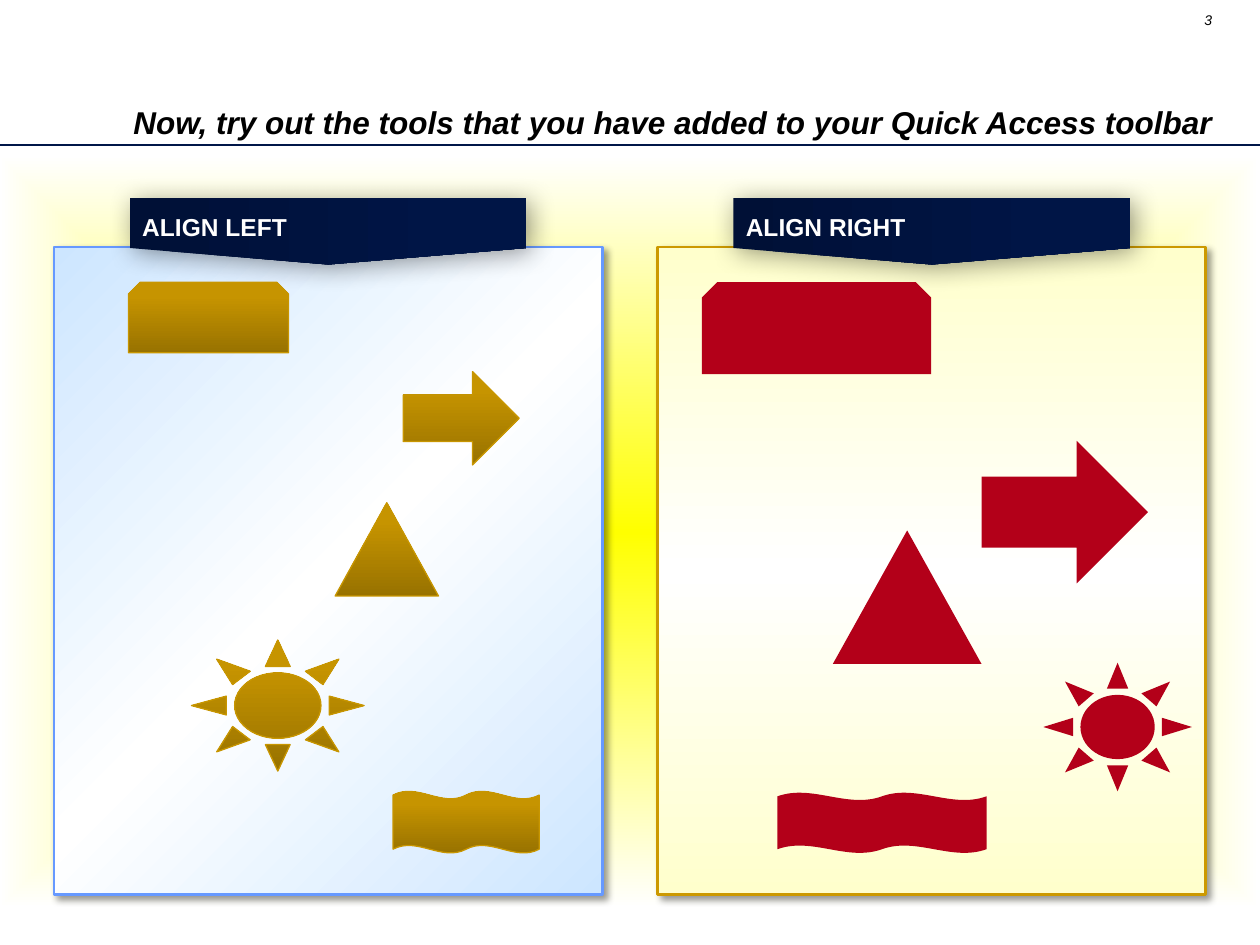
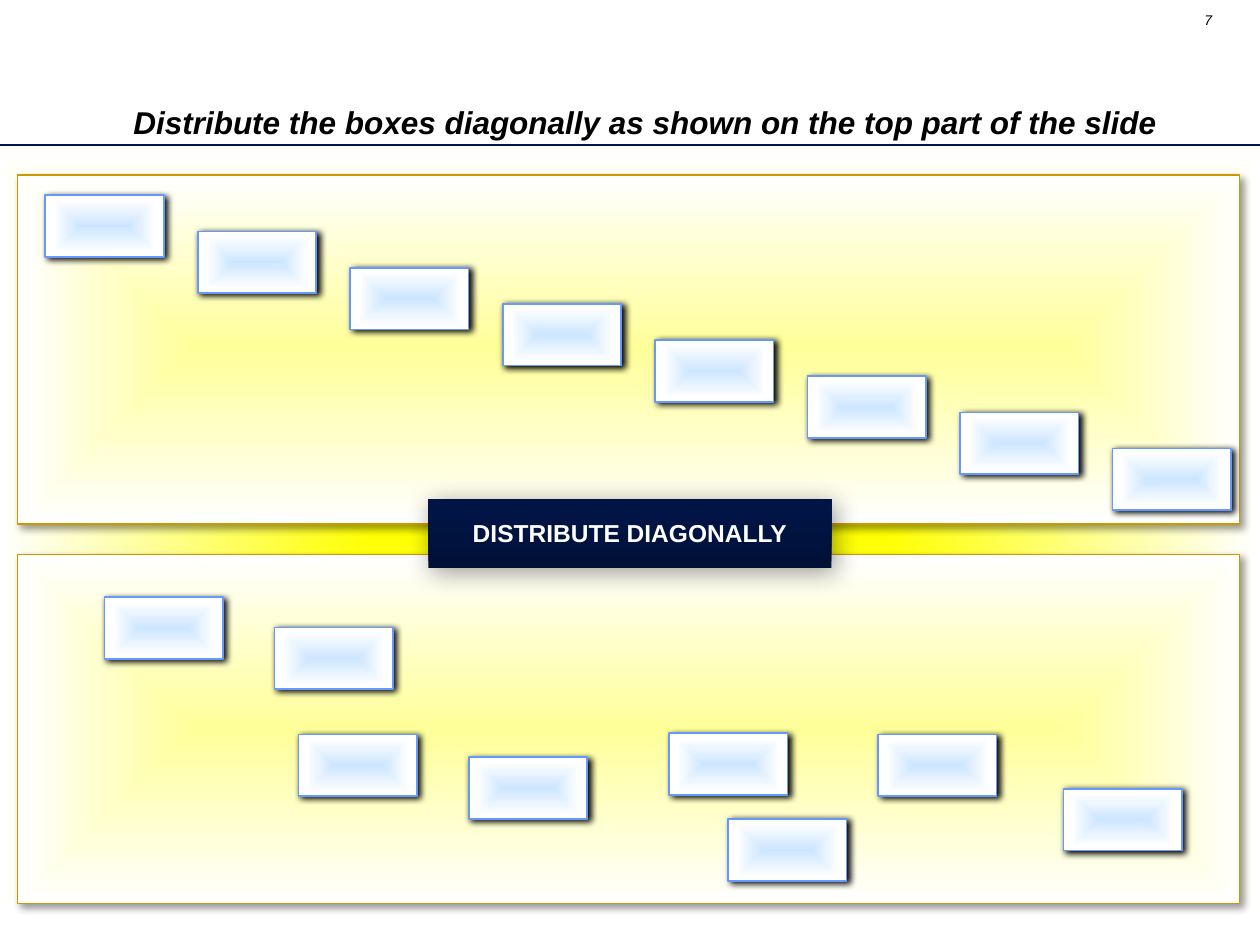
from collections import namedtuple

from lxml.etree import SubElement
from pptx import Presentation
from pptx.dml.color import RGBColor
from pptx.enum.shapes import MSO_CONNECTOR, MSO_SHAPE
from pptx.enum.text import MSO_ANCHOR, PP_ALIGN
from pptx.oxml.ns import qn
from pptx.util import Inches, Pt

COLORS = {
    "ink": "000000", "white": "FFFFFF", "navy": "001546", "navy_dark": "001036",
    "rule": "001648", "yellow": "FFFF00", "lemon": "FFFF99", "cream": "FFFFCC",
    "amber": "CC9900", "sky": "CDE6FF", "blue": "6699FF", "red": "B30019",
    "gold_dark": "987200", "gold": "C69400", "gold_light": "C79500",
    "gold_line": "C89600",
}
FONT = "Arial"
Box = namedtuple("Box", "left top width height")
Gradient = namedtuple("Gradient", "stops angle")    # no angle: from the centre out
Shadow = namedtuple("Shadow", "alpha blur distance angle")

NAVY_FILL = Gradient([(0, "navy_dark"), (80, "navy"), (100, "navy")], 270)
GOLD_FILL = Gradient([(0, "gold_dark"), (80, "gold"), (100, "gold_light")], 270)
CREAM_FILL = Gradient([(0, "cream"), (50, "white"), (100, "cream")], 90)
SKY_FILL = Gradient([(0, "sky"), (50, "white"), (100, "sky")], 45)
GLOW_FILL = Gradient([(0, "yellow"), (100, "white")], None)
LEMON_FILL = Gradient([(0, "lemon"), (100, "white")], None)
TILE_FILL = Gradient([(0, "sky"), (86, "white")], None)

PANEL_SHADOW = Shadow(40, 4, 3, 45)
BANNER_SHADOW = Shadow(40, 15, 3, 45)
TILE_SHADOW = Shadow(100, 4, 2, 30)

TILE_WIDTH, TILE_HEIGHT = 0.94, 0.49


def rgb(name):
    return RGBColor.from_string(COLORS[name])


def add_color(parent, name):
    return SubElement(parent, qn("a:srgbClr"), val=COLORS[name])


def set_gradient(shape, gradient):
    shape.fill.gradient()
    fill = shape.element.spPr.find(qn("a:gradFill"))
    for child in list(fill):
        fill.remove(child)
    stops = SubElement(fill, qn("a:gsLst"))
    for position, name in gradient.stops:
        add_color(SubElement(stops, qn("a:gs"), pos=str(position * 1000)), name)
    if gradient.angle is None:
        path = SubElement(fill, qn("a:path"), path="shape")
        sides = dict.fromkeys("ltrb", "50000")
        SubElement(path, qn("a:fillToRect"), **sides)
    else:
        SubElement(fill, qn("a:lin"), ang=str(gradient.angle * 60000), scaled="0")


def set_shadow(shape, shadow):
    effects = shape.element.spPr.find(qn("a:effectLst"))
    outer = SubElement(effects, qn("a:outerShdw"), blurRad=str(Pt(shadow.blur)),
                       dist=str(Pt(shadow.distance)),
                       dir=str(shadow.angle * 60000), algn="tl", rotWithShape="0")
    color = add_color(outer, "ink")
    SubElement(color, qn("a:alpha"), val=str(shadow.alpha * 1000))


def add_part(page, kind, box, fill, line=None, weight=0.75, shadow=None):
    """Add a preset shape; fill is a colour name or a Gradient."""
    shape = page.shapes.add_shape(kind, *map(Inches, box))
    shape.shadow.inherit = False
    if isinstance(fill, Gradient):
        set_gradient(shape, fill)
    else:
        shape.fill.solid()
        shape.fill.fore_color.rgb = rgb(fill)
    if line:
        shape.line.color.rgb = rgb(line)
        shape.line.width = Pt(weight)
    else:
        shape.line.fill.background()
    if shadow:
        set_shadow(shape, shadow)
    return shape


def write(shape, text, size=14, color="white", bold=False, italic=False,
          align=PP_ALIGN.CENTER, anchor=MSO_ANCHOR.MIDDLE, spacing=None, wrap=True):
    frame = shape.text_frame
    frame.word_wrap = wrap
    frame.vertical_anchor = anchor
    para = frame.paragraphs[0]
    para.alignment = align
    para.line_spacing = spacing
    span = para.add_run()
    span.text = text
    span.font.name = FONT
    span.font.size = Pt(size)
    span.font.bold = bold
    span.font.italic = italic
    span.font.color.rgb = rgb(color)


def start_page(deck, title, number):
    """Add a slide with its number, title rule, glow and title."""
    page = deck.slides.add_slide(deck.slide_layouts[6])
    number_box = page.shapes.add_textbox(*map(Inches, (9.38, 0.04, 0.34, 0.23)))
    write(number_box, number, size=8, color="ink", italic=True,
          align=PP_ALIGN.RIGHT, anchor=MSO_ANCHOR.TOP, wrap=False)
    rule = page.shapes.add_connector(
        MSO_CONNECTOR.STRAIGHT, 0, Inches(1.15), Inches(10), Inches(1.15))
    rule.line.color.rgb = rgb("rule")
    rule.line.width = Pt(1.5)
    SubElement(rule.element.spPr, qn("a:effectLst"))
    add_part(page, MSO_SHAPE.RECTANGLE, Box(-0.01, 1.23, 10, 5.98), GLOW_FILL)
    title_box = page.shapes.add_textbox(*map(Inches, (0.96, 0.51, 8.92, 0.66)))
    write(title_box, title, size=18, color="ink", bold=True, italic=True,
          align=PP_ALIGN.LEFT, anchor=MSO_ANCHOR.BOTTOM, spacing=0.9)
    return page


def add_banner(page, panel, text):
    """Hang a downward pennant over the top edge of a panel."""
    depth, length = 0.53, 3.15
    center = panel.left + panel.width / 2
    box = Box(center - depth / 2, panel.top - 0.125 - length / 2, depth, length)
    banner = add_part(page, MSO_SHAPE.PENTAGON, box, NAVY_FILL, shadow=BANNER_SHADOW)
    banner.rotation = 90
    banner.adjustments[0] = 0.248
    write(banner, text, bold=True)
    # Turn the text back to level
    body = banner.text_frame._txBody.bodyPr
    body.set("vert", "eaVert")
    body.set("rot", "10800000")


def add_align_panel(page, panel, heading, fill, edge, parts, part_fill, part_line):
    """Draw a panel with its banner; parts are placed from the panel corner."""
    add_part(page, MSO_SHAPE.RECTANGLE, panel, fill, edge, 1.5, PANEL_SHADOW)
    add_banner(page, panel, heading)
    for kind, (left, top, width, height) in parts:
        box = Box(panel.left + left, panel.top + top, width, height)
        add_part(page, kind, box, part_fill, part_line)


def add_tile_panel(page, panel, corners):
    """Draw a panel with equal tiles at corners measured from its own corner."""
    add_part(page, MSO_SHAPE.RECTANGLE, panel, LEMON_FILL, "amber", 0.75, PANEL_SHADOW)
    for left, top in corners:
        box = Box(panel.left + left, panel.top + top, TILE_WIDTH, TILE_HEIGHT)
        add_part(page, MSO_SHAPE.RECTANGLE, box, TILE_FILL, "blue", 1, TILE_SHADOW)


def build_align_page(deck):
    page = start_page(
        deck, "Now, try out the tools that you have added to your Quick Access toolbar", "3")
    kinds = (MSO_SHAPE.SNIP_2_SAME_RECTANGLE, MSO_SHAPE.RIGHT_ARROW,
             MSO_SHAPE.ISOSCELES_TRIANGLE, MSO_SHAPE.SUN, MSO_SHAPE.DOUBLE_WAVE)
    gold_boxes = ((0.59, 0.28, 1.27, 0.56), (2.77, 0.99, 0.92, 0.74),
                  (2.23, 2.03, 0.82, 0.74), (1.09, 3.12, 1.37, 1.04),
                  (2.69, 4.32, 1.16, 0.49))
    red_boxes = ((0.35, 0.28, 1.82, 0.73), (2.57, 1.54, 1.32, 1.13),
                 (1.39, 2.25, 1.18, 1.06), (3.06, 3.3, 1.18, 1.02),
                 (0.95, 4.33, 1.66, 0.48))
    add_align_panel(page, Box(5.22, 1.96, 4.35, 5.14), "ALIGN RIGHT", CREAM_FILL,
                    "amber", zip(kinds, red_boxes), "red", None)
    add_align_panel(page, Box(0.43, 1.96, 4.35, 5.14), "ALIGN LEFT", SKY_FILL,
                    "blue", zip(kinds, gold_boxes), GOLD_FILL, "gold_line")


def build_distribute_page(deck):
    page = start_page(
        deck, "Distribute the boxes diagonally as shown on the top part of the slide", "7")
    # Scattered tiles below, an even diagonal above
    scattered = ((0.69, 0.34), (2.04, 0.58), (2.23, 1.43), (3.58, 1.61),
                 (5.17, 1.42), (5.64, 2.1), (6.83, 1.43), (8.3, 1.86))
    diagonal = [(0.22 + 1.21 * step, 0.16 + 2.01 * step / 7) for step in range(8)]
    add_tile_panel(page, Box(0.14, 4.4, 9.7, 2.77), scattered)
    add_tile_panel(page, Box(0.14, 1.39, 9.7, 2.77), diagonal)
    # Label between the panels
    label = add_part(page, MSO_SHAPE.RECTANGLE, Box(3.4, 3.96, 3.2, 0.55),
                     NAVY_FILL, shadow=BANNER_SHADOW)
    write(label, "DISTRIBUTE DIAGONALLY", bold=True, spacing=0.9)
    frame = label.text_frame
    frame.margin_left = frame.margin_right = Inches(0.3)
    frame.margin_top, frame.margin_bottom = Inches(0.07), Inches(0.06)


deck = Presentation()
deck.slide_width, deck.slide_height = Inches(10), Inches(7.5)
build_align_page(deck)
build_distribute_page(deck)
deck.save("out.pptx")
